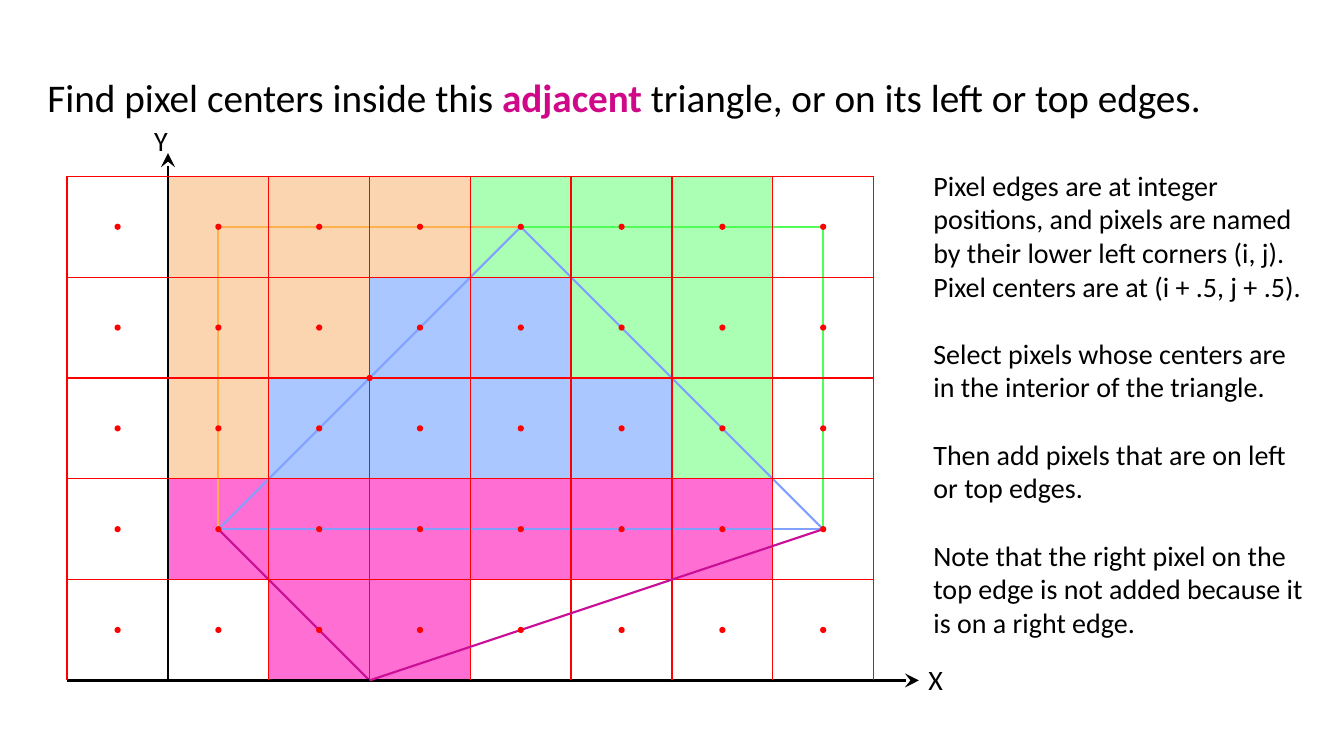
from lxml.etree import SubElement
from pptx import Presentation
from pptx.dml.color import RGBColor
from pptx.enum.shapes import MSO_CONNECTOR, MSO_SHAPE
from pptx.enum.text import MSO_ANCHOR, MSO_AUTO_SIZE, PP_ALIGN
from pptx.oxml.ns import qn
from pptx.util import Pt

COLORS = {
    "black": "000000", "red": "FF0000", "word": "CF0788",
    "pink": "FF6ED2", "plum": "C80F96",
    "peach": "FBD5AF", "orange": "FFB14D",
    "mint": "AAFFB4", "green": "50FF55",
    "sky": "AAC8FF", "blue": "82A0FF",
}
CELL, LEFT, BASE = 72, 120, 486  # pixel size and origin of the axes
COLS, ROWS = range(-1, 7), range(5)

# Row of pixels -> columns, for each fill
PIXELS = {
    "pink": {1: range(0, 6), 0: range(1, 3)},
    "peach": {4: range(0, 3), 3: range(0, 2), 2: range(0, 1)},
    "mint": {4: range(3, 6), 3: range(4, 6), 2: range(5, 6)},
    "sky": {3: range(2, 4), 2: range(1, 5)},
}

# Corners shared by the triangles
WEST, EAST, PEAK, FOOT = (0.5, 1.5), (6.5, 1.5), (3.5, 4.5), (2, 0)
NW, NE = (0.5, 4.5), (6.5, 4.5)
EDGES = [
    ("plum", WEST, FOOT),
    ("orange", NW, WEST), ("orange", NW, PEAK),
    ("green", PEAK, NE), ("green", EAST, NE),
    ("blue", EAST, WEST), ("blue", PEAK, EAST), ("blue", PEAK, WEST),
]

TITLE = [
    ("Find pixel centers inside this ", "black", False),
    ("adjacent", "word", True),
    (" triangle, or on its left or top edges.", "black", False),
]
NOTES = [
    "Pixel edges are at integer positions, and pixels are named by their "
    "lower left corners (i, j). Pixel centers are at (i + .5, j + .5).",
    "Select pixels whose centers are in the interior of the triangle.",
    "Then add pixels that are on left or top edges.",
    "Note that the right pixel on the top edge is not added because it "
    "is on a right edge.",
]


def color(name):
    return RGBColor.from_string(COLORS[name])


def spot(point):
    """Turn pixel coordinates into points on the slide."""
    return LEFT + CELL * point[0], BASE - CELL * point[1]


class Board:
    font = "Calibri"
    size = 20

    def __init__(self, slide):
        self.slide = slide
        self.shapes = slide.shapes

    def place(self, shape, x, y, w, h):
        shape.left, shape.top = Pt(x), Pt(y)
        shape.width, shape.height = Pt(w), Pt(h)
        frame = shape.text_frame
        frame.word_wrap = True
        frame.auto_size = MSO_AUTO_SIZE.NONE
        frame.vertical_anchor = MSO_ANCHOR.TOP
        return frame

    def style(self, run, size, name="black", bold=False):
        font = run.font
        font.name, font.size, font.bold = self.font, Pt(size), bold
        font.color.rgb = color(name)

    def title(self, parts, *box):
        para = self.place(self.shapes.title, *box).paragraphs[0]
        para.alignment = PP_ALIGN.LEFT
        for text, name, bold in parts:
            run = para.add_run()
            run.text = text
            self.style(run, 28, name, bold)

    def body(self, lines, *box):
        frame = self.place(self.slide.placeholders[1], *box)
        frame.text = "\n".join(lines)
        for n, para in enumerate(frame.paragraphs):
            props = para._p.get_or_add_pPr()
            props.set("marL", "0")
            props.set("indent", "0")
            SubElement(props, qn("a:buNone"))
            para.space_before = Pt(24 if n else 0)
            self.style(para.runs[0], self.size)

    def label(self, text, *box):
        frame = self.place(self.shapes.add_textbox(0, 0, 0, 0), *box)
        frame.text = text
        self.style(frame.paragraphs[0].runs[0], self.size)

    def shape(self, kind, name, x, y, w, h):
        item = self.shapes.add_shape(kind, Pt(x), Pt(y), Pt(w), Pt(h))
        item.shadow.inherit = False
        item.fill.solid()
        item.fill.fore_color.rgb = color(name)
        item.line.fill.background()

    def pixel(self, name, col, row):
        x, y = spot((col, row + 1))
        self.shape(MSO_SHAPE.RECTANGLE, name, x, y, CELL, CELL)

    def dot(self, point, size=4.4):
        x, y = spot(point)
        self.shape(MSO_SHAPE.OVAL, "red", x - size / 2, y - size / 2, size, size)

    def line(self, name, start, end, width=1.5, arrow=False):
        ends = [Pt(v) for v in spot(start) + spot(end)]
        item = self.shapes.add_connector(MSO_CONNECTOR.STRAIGHT, *ends)
        item.line.color.rgb = color(name)
        item.line.width = Pt(width)
        if arrow:
            SubElement(item.line._get_or_add_ln(), qn("a:tailEnd"),
                       type="stealth", w="lg", len="lg")
        SubElement(item._element.spPr, qn("a:effectLst"))


def main():
    deck = Presentation()
    deck.slide_width, deck.slide_height = Pt(960), Pt(540)
    board = Board(deck.slides.add_slide(deck.slide_layouts[1]))

    # Title and notes
    board.title(TITLE, 26.6, 49, 914, 41)
    board.body(NOTES, 659.5, 116.6, 279, 395)

    # Filled pixels
    for name, rows in PIXELS.items():
        for row, cols in rows.items():
            for col in cols:
                board.pixel(name, col, row)

    # Triangle edges
    for name, start, end in EDGES:
        board.line(name, start, end)

    # Axes
    board.line("black", (0, 0), (0, 5.23), 2, True)
    board.line("black", (-1, 0), (7.45, 0), 2, True)
    board.label("Y", 103, 85, 48, 32)
    board.label("X", 656, 470, 48, 32)

    # Grid, with the Y axis in place of column 0
    for row in range(1, 6):
        board.line("red", (-1, row), (7, row), 1)
    for col in range(-1, 8):
        if col:
            board.line("red", (col, 0), (col, 5), 1)

    # Right edge of the lower triangle
    board.line("plum", EAST, FOOT)

    # Pixel centers, and the middle of the left edge
    for row in ROWS:
        for col in COLS:
            board.dot((col + 0.5, row + 0.5))
    board.dot((2, 3))

    deck.save("out.pptx")


if __name__ == "__main__":
    main()
